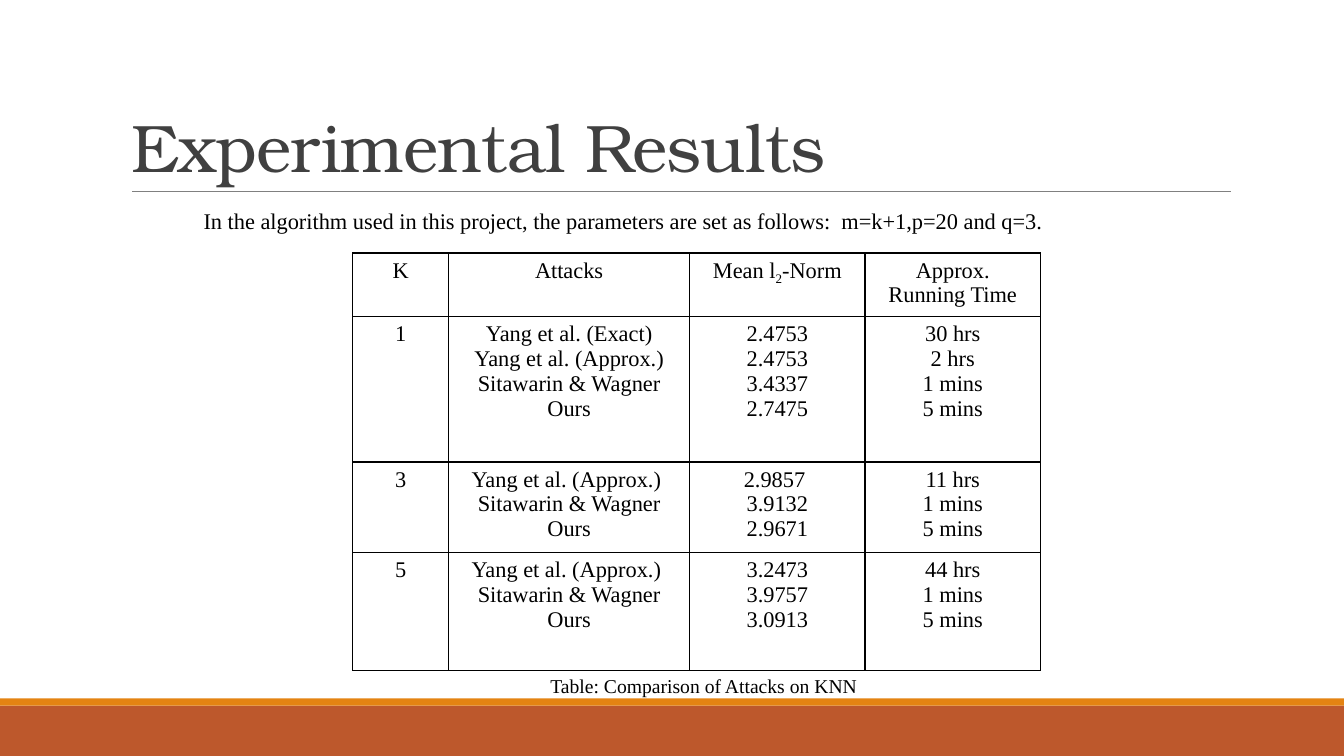
import dataclasses

import pptx
import pptx.dml.color
import pptx.enum.shapes
import pptx.enum.text
import pptx.oxml
import pptx.oxml.ns
import pptx.util
from pptx.util import Inches


@dataclasses.dataclass(frozen=True)
class Theme:
    title_font: str = "TeX Gyre Bonum"
    body_font: str = "Times New Roman"
    title_size: int = 48
    body_size: int = 16
    caption_size: int = 14
    title_color: str = "404040"
    text_color: str = "000000"
    rule_color: str = "808080"
    band_color: str = "BD582C"
    stripe_color: str = "E48312"


THEME = Theme()
TITLE_ONLY_LAYOUT = 5
COLUMN_WIDTHS = (0.95, 2.39, 1.74, 1.74)
ROW_HEIGHTS = (0.63, 1.44, 0.89, 1.17)
# Each cell is a list of lines.
RESULTS = (
    (["K"], ["Attacks"], ["Mean l2-Norm"], ["Approx. Running Time"]),
    (
        ["1"],
        ["Yang et al. (Exact)", "Yang et al. (Approx.)", "Sitawarin & Wagner", "Ours"],
        ["2.4753", "2.4753", "3.4337", "2.7475"],
        ["30 hrs", "2 hrs", "1 mins", "5 mins"],
    ),
    (
        ["3"],
        ["Yang et al. (Approx.) ", "Sitawarin & Wagner", "Ours"],
        ["2.9857 ", "3.9132", "2.9671"],
        ["11 hrs", "1 mins", "5 mins"],
    ),
    (
        ["5"],
        ["Yang et al. (Approx.) ", "Sitawarin & Wagner", "Ours"],
        ["3.2473", "3.9757", "3.0913"],
        ["44 hrs", "1 mins", "5 mins"],
    ),
)


def rgb(color):
    return pptx.dml.color.RGBColor.from_string(color)


def format_run(run, size, font=THEME.body_font, color=THEME.text_color):
    run.font.name = font
    run.font.size = pptx.util.Pt(size)
    run.font.color.rgb = rgb(color)


def set_title(slide, text):
    title = slide.shapes.title
    title.left, title.top = Inches(1.2), Inches(0.31)
    title.width, title.height = Inches(11), Inches(1.59)
    frame = title.text_frame
    frame.text = text
    frame.auto_size = pptx.enum.text.MSO_AUTO_SIZE.NONE
    frame.vertical_anchor = pptx.enum.text.MSO_ANCHOR.BOTTOM
    paragraph = frame.paragraphs[0]
    paragraph.alignment = pptx.enum.text.PP_ALIGN.LEFT
    paragraph.line_spacing = 0.85
    run = paragraph.runs[0]
    format_run(run, THEME.title_size, THEME.title_font, THEME.title_color)
    run.font._element.set("spc", "-50")


def add_band(slide, top, height, color):
    band = slide.shapes.add_shape(
        pptx.enum.shapes.MSO_SHAPE.RECTANGLE,
        0, Inches(top), Inches(13.33), Inches(height),
    )
    band.shadow.inherit = False
    band.fill.solid()
    band.fill.fore_color.rgb = rgb(color)
    band.line.fill.background()


def add_title_rule(slide):
    rule = slide.shapes.add_connector(
        pptx.enum.shapes.MSO_CONNECTOR.STRAIGHT,
        Inches(1.31), Inches(1.9), Inches(12.21), Inches(1.9),
    )
    rule.line.color.rgb = rgb(THEME.rule_color)
    rule.line.width = pptx.util.Pt(0.5)
    properties = rule._element.spPr
    properties.append(properties.makeelement(pptx.oxml.ns.qn("a:effectLst"), {}))


def add_text(slide, left, top, width, height, text, size):
    box = slide.shapes.add_textbox(
        Inches(left), Inches(top), Inches(width), Inches(height)
    )
    frame = box.text_frame
    frame.word_wrap = True
    frame.text = text
    format_run(frame.paragraphs[0].runs[0], size)


def set_borders(cell):
    properties = cell._tc.get_or_add_tcPr()
    for position, side in enumerate(("lnL", "lnR", "lnT", "lnB")):
        border = pptx.oxml.parse_xml(
            f'<a:{side} {pptx.oxml.ns.nsdecls("a")} w="12700"><a:solidFill>'
            f'<a:srgbClr val="{THEME.text_color}"/></a:solidFill></a:{side}>'
        )
        properties.insert(position, border)


def fill_cell(cell, lines):
    cell.fill.background()
    set_borders(cell)
    cell.text_frame.text = "\n".join(lines)
    for paragraph in cell.text_frame.paragraphs:
        paragraph.alignment = pptx.enum.text.PP_ALIGN.CENTER
        for run in paragraph.runs:
            format_run(run, THEME.body_size)


def lower_norm_index(cell):
    """Split "Mean l2-Norm" into runs so that the 2 is a subscript."""
    paragraph = cell.text_frame.paragraphs[0]
    before, after = paragraph.text.split("2")
    paragraph.runs[0].text = before
    for text in ("2", after):
        run = paragraph.add_run()
        run.text = text
        format_run(run, THEME.body_size)
    paragraph.runs[1].font._element.set("baseline", "-25000")


def add_results_table(slide):
    table = slide.shapes.add_table(
        len(ROW_HEIGHTS), len(COLUMN_WIDTHS), Inches(3.5), Inches(2.51),
        Inches(sum(COLUMN_WIDTHS)), Inches(sum(ROW_HEIGHTS)),
    ).table
    table.first_row = table.horz_banding = False
    for column, width in zip(table.columns, COLUMN_WIDTHS):
        column.width = Inches(width)
    for row, height, contents in zip(table.rows, ROW_HEIGHTS, RESULTS):
        row.height = Inches(height)
        for cell, lines in zip(row.cells, contents):
            fill_cell(cell, lines)
    lower_norm_index(table.cell(0, 2))


def main():
    presentation = pptx.Presentation()
    presentation.slide_width = Inches(13.33)
    presentation.slide_height = Inches(7.5)
    slide = presentation.slides.add_slide(
        presentation.slide_layouts[TITLE_ONLY_LAYOUT]
    )
    add_band(slide, 7, 0.5, THEME.band_color)
    add_band(slide, 6.93, 0.07, THEME.stripe_color)
    add_title_rule(slide)
    set_title(slide, "Experimental Results")
    add_text(
        slide, 1.92, 2.01, 9.98, 0.64,
        "In the algorithm used in this project, the parameters are set as follows:"
        "  m=k+1,p=20 and q=3.",
        THEME.body_size,
    )
    add_results_table(slide)
    add_text(
        slide, 5.36, 6.64, 6.67, 0.34,
        "Table: Comparison of Attacks on KNN", THEME.caption_size,
    )
    presentation.save("out.pptx")


if __name__ == "__main__":
    main()
